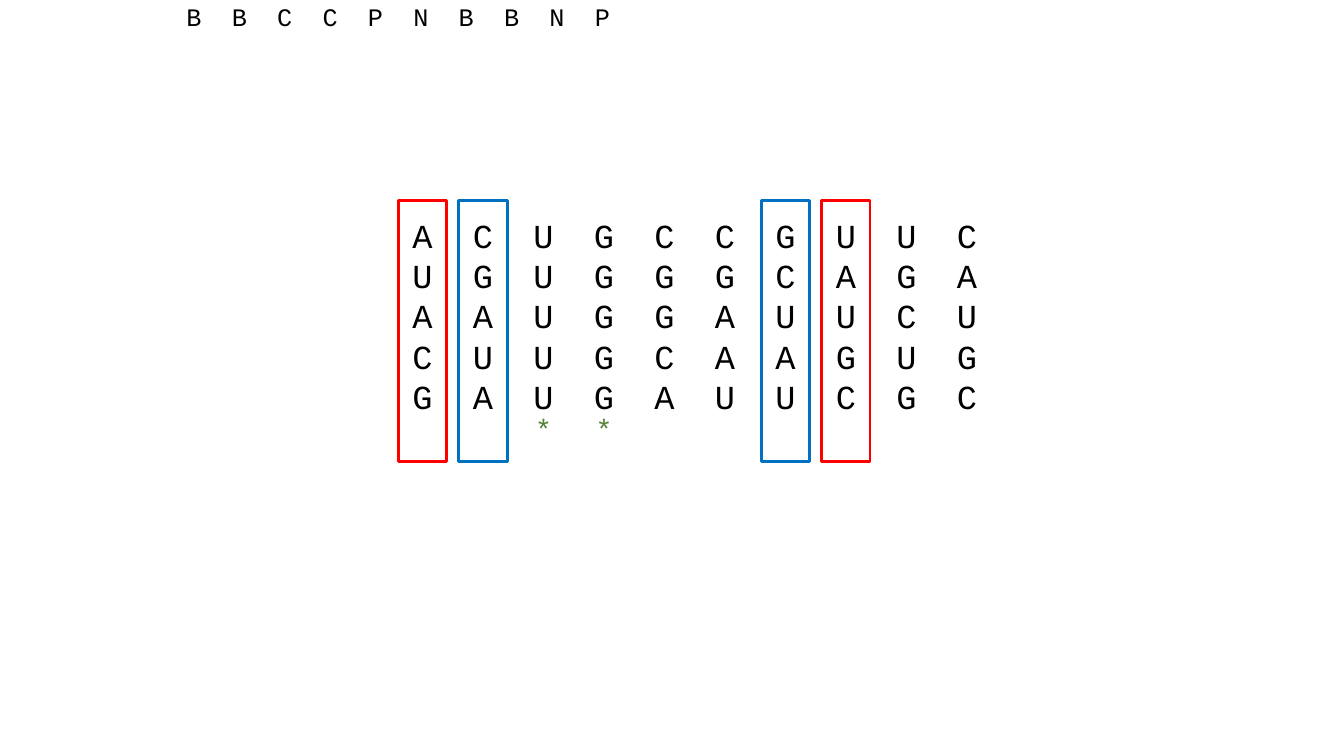
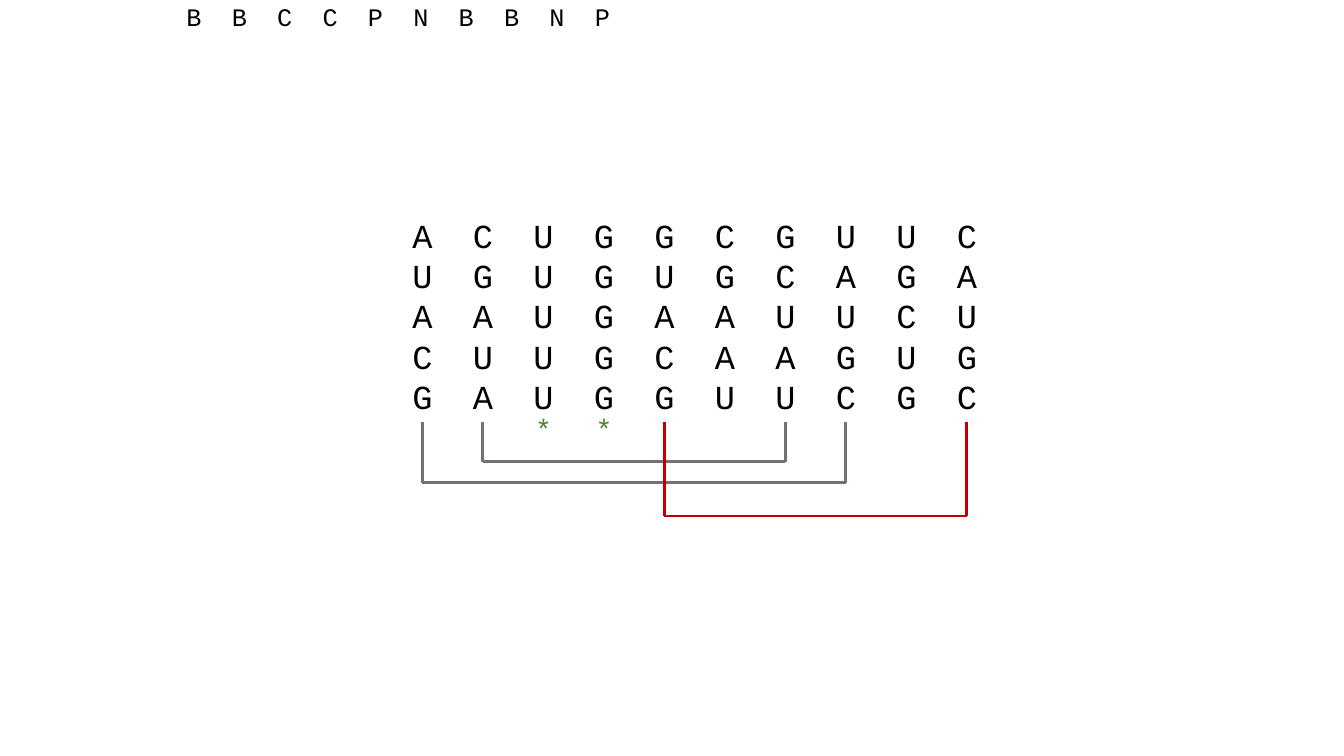
from lxml import etree
from pptx import Presentation
from pptx.dml.color import RGBColor
from pptx.enum import shapes, text
from pptx.oxml import ns
from pptx.util import Inches, Pt

BLACK = RGBColor(0x00, 0x00, 0x00)
RED = RGBColor(0xFF, 0x00, 0x00)
BLUE = RGBColor(0x00, 0x70, 0xC0)
GREEN = RGBColor(0x54, 0x82, 0x35)
GREY = RGBColor(0x76, 0x71, 0x71)
DARK_RED = RGBColor(0xC0, 0x00, 0x00)

FONT = "Courier New"
LINE_SPACING = 1.2
FIRST_CENTER = 4.19
COLUMN_PITCH = 0.6
BRACKET_TOP = 4.19

CODE = ["BBCCPNBBNP"]
PAIRED = ["ACUGCCGUUC", "UGUGGGCAGA", "AAUGGAUUCU", "CUUGCAAGUG", "GAUGAUUCGC"]
CROSSED = ["ACUGGCGUUC", "UGUGUGCAGA", "AAUGAAUUCU", "CUUGCAAGUG", "GAUGGUUCGC"]
CONSERVED_COLUMNS = [2, 3]
COLUMN_BOXES = [(0, RED), (1, BLUE), (6, BLUE), (7, RED)]
BRACKETS = [(0, 7, 4.79, GREY, 2.25), (1, 6, 4.58, GREY, 2.25), (4, 9, 5.12, DARK_RED, 2)]


def column_center(column):
    return FIRST_CENTER + column * COLUMN_PITCH


def add_tab_stops(para, count, pitch):
    properties = para._p.get_or_add_pPr()
    tab_list = etree.SubElement(properties, ns.qn("a:tabLst"))
    for stop in range(1, count):
        etree.SubElement(tab_list, ns.qn("a:tab"), pos=str(Inches(stop * pitch)), algn="l")


def add_text_box(page, left, top, width, height):
    box = page.shapes.add_textbox(Inches(left), Inches(top), Inches(width), Inches(height))
    frame = box.text_frame
    frame.word_wrap = True
    frame.margin_left = frame.margin_right = frame.margin_top = frame.margin_bottom = 0
    return frame


def add_span(para, wording, size, color):
    para.line_spacing = Pt(size * LINE_SPACING)
    span = para.add_run()
    span.text = wording
    span.font.name = FONT
    span.font.size = Pt(size)
    span.font.color.rgb = color


def add_sequences(page, rows, left, top, pitch, size):
    columns = len(rows[0])
    height = len(rows) * size * LINE_SPACING / 72
    frame = add_text_box(page, left, top, columns * pitch, height)
    for index, row in enumerate(rows):
        para = frame.add_paragraph() if index else frame.paragraphs[0]
        add_tab_stops(para, columns, pitch)
        add_span(para, "\t".join(row), size, BLACK)


def add_star(page, column):
    width = 0.4
    frame = add_text_box(page, column_center(column) - width / 2, 4.08, width, 0.34)
    para = frame.paragraphs[0]
    para.alignment = text.PP_ALIGN.CENTER
    add_span(para, "*", 20, GREEN)


def add_column_box(page, column, color):
    width = 0.48
    box = page.shapes.add_shape(
        shapes.MSO_SHAPE.RECTANGLE,
        Inches(column_center(column) - width / 2), Inches(1.99), Inches(width), Inches(2.59))
    box.shadow.inherit = False
    box.fill.background()
    box.line.color.rgb = color
    box.line.width = Pt(2)


def add_line(page, start, end, color, weight):
    line = page.shapes.add_connector(
        shapes.MSO_CONNECTOR.STRAIGHT, *(Inches(value) for value in start + end))
    line.line.color.rgb = color
    line.line.width = Pt(weight)
    etree.SubElement(line._element.spPr, ns.qn("a:effectLst"))


def add_bracket(page, first, last, bottom, color, weight):
    left, right = column_center(first), column_center(last)
    corners = [(left, BRACKET_TOP), (left, bottom), (right, bottom), (right, BRACKET_TOP)]
    for start, end in zip(corners, corners[1:]):
        add_line(page, start, end, color, weight)


def add_alignment_page(deck, rows):
    page = deck.slides.add_slide(deck.slide_layouts[6])
    add_sequences(page, rows, 4.09, 2.13, COLUMN_PITCH, 24)
    for column in CONSERVED_COLUMNS:
        add_star(page, column)
    add_sequences(page, CODE, 1.85, 0.01, 0.45, 18)
    return page


def main():
    deck = Presentation()
    deck.slide_width = Inches(13.33)
    deck.slide_height = Inches(7.5)

    boxed_page = add_alignment_page(deck, PAIRED)
    for column, color in COLUMN_BOXES:
        add_column_box(boxed_page, column, color)

    bracket_page = add_alignment_page(deck, CROSSED)
    for bracket in BRACKETS:
        add_bracket(bracket_page, *bracket)

    deck.save("out.pptx")


if __name__ == "__main__":
    main()
